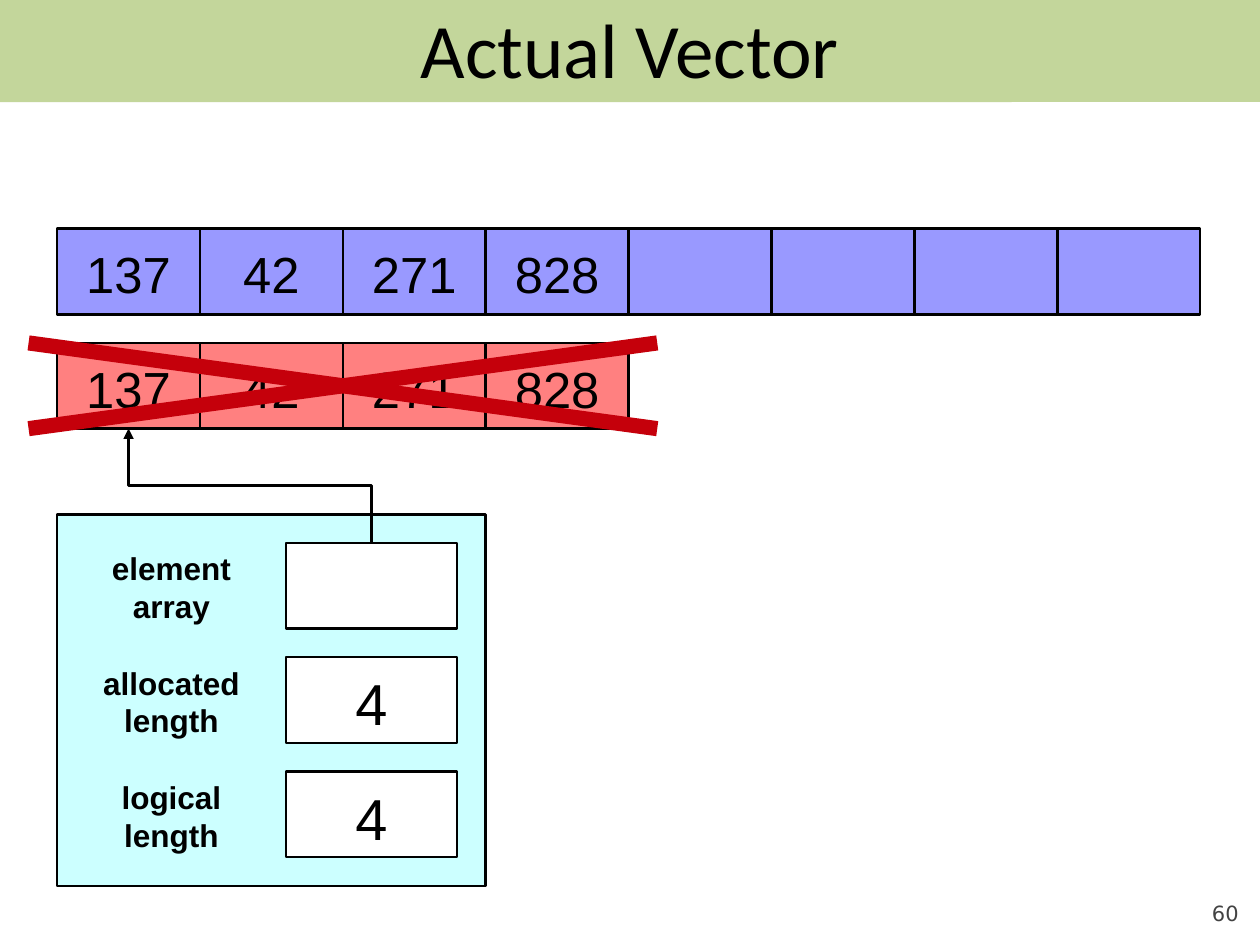
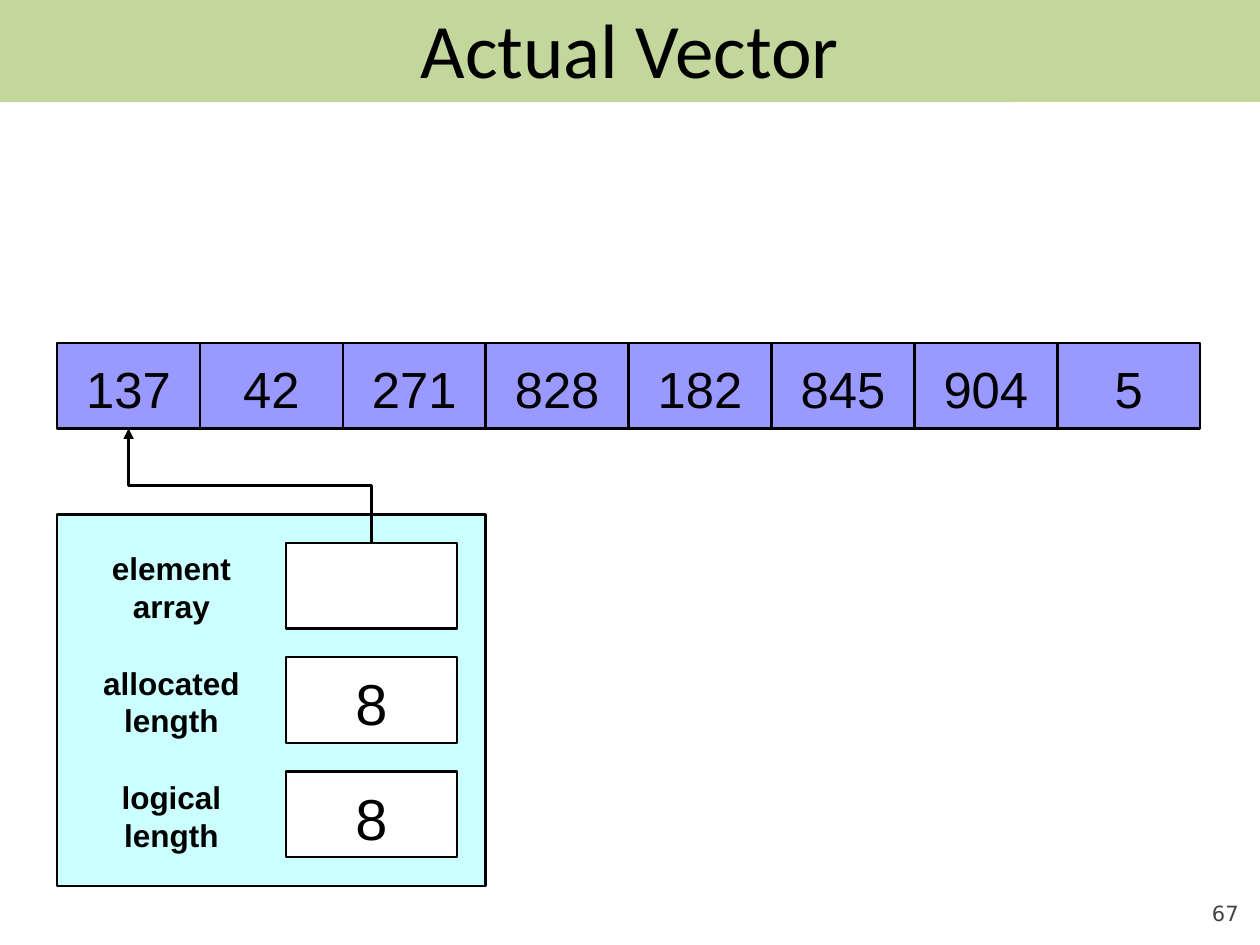
"""Build two slides showing how a vector grows its element array."""

from dataclasses import dataclass

from lxml import etree
from pptx import Presentation
from pptx.dml.color import RGBColor
from pptx.enum.shapes import MSO_CONNECTOR, MSO_SHAPE
from pptx.enum.text import MSO_ANCHOR, PP_ALIGN
from pptx.oxml.ns import qn
from pptx.shapes.autoshape import Shape
from pptx.shapes.connector import Connector
from pptx.slide import Slide
from pptx.util import Pt

RECTANGLE = MSO_SHAPE.RECTANGLE
ROUNDED = MSO_SHAPE.ROUNDED_RECTANGLE
STRAIGHT = MSO_CONNECTOR.STRAIGHT
ELBOW = MSO_CONNECTOR.ELBOW
MIDDLE = MSO_ANCHOR.MIDDLE
BOTTOM = MSO_ANCHOR.BOTTOM
CENTER = PP_ALIGN.CENTER
RIGHT = PP_ALIGN.RIGHT

BLACK = "000000"
WHITE = "FFFFFF"
BAND_GREEN = "C3D69B"
PANEL_CYAN = "CCFFFF"
LIVE_BLUE = "9999FF"
FREED_RED = "FF8080"
CROSS_RED = "C5000B"
NUMBER_GRAY = "424242"

UNIT = 16.33
OUTLINE = 1.45
CROSS_WIDTH = 8.65
CELL_WIDTH = 5
BOX_WIDTH = 6
ROW_HEIGHT = 3
ARRAY_LEFT = 2
UPPER_ROW = 8
LOWER_ROW = 12
FIELD_TOP = 19
FIELD_STEP = 4


@dataclass(frozen=True)
class Area:
    """A rectangle in points."""
    left: float
    top: float
    width: float
    height: float


@dataclass(frozen=True)
class TextStyle:
    """How the text of a box looks, with insets in points."""
    size: float
    font: str = "Arial"
    color: str = BLACK
    bold: bool = False
    align: PP_ALIGN = CENTER
    anchor: MSO_ANCHOR = MIDDLE
    wrap: bool = False
    insets: tuple[float, float, float, float] = (7.2, 3.6, 7.2, 3.6)


@dataclass(frozen=True)
class CellArray:
    """A row of array cells; a freed array is crossed out."""
    row: float
    values: tuple[str, ...]
    freed: bool = False


@dataclass(frozen=True)
class VectorState:
    """The content of one slide."""
    number: str
    allocated: str
    logical: str
    arrays: tuple[CellArray, ...]


TITLE_STYLE = TextStyle(44, "Calibri", wrap=True)
NUMBER_STYLE = TextStyle(12, "DejaVu Sans", NUMBER_GRAY, align=RIGHT,
                         anchor=BOTTOM, wrap=True, insets=(0, 0, 0, 0))
CELL_STYLE = TextStyle(29, insets=(7.2, 5.8, 7.2, 3.6))
FIELD_STYLE = TextStyle(33, insets=(7.2, 6.5, 7.2, 3.6))
LABEL_STYLE = TextStyle(18, bold=True, insets=(7.2, 5, 7.2, 3.6))

STATES = (
    VectorState("60", "4", "4", (
        CellArray(LOWER_ROW, ("137", "42", "271", "828"), freed=True),
        CellArray(UPPER_ROW, ("137", "42", "271", "828", "", "", "", "")),
    )),
    VectorState("67", "8", "8", (
        CellArray(LOWER_ROW, ("137", "42", "271", "828", "182", "845", "904", "5")),
    )),
)


def rgb(color: str) -> RGBColor:
    """Turn a hex string into a colour."""
    return RGBColor.from_string(color)


def grid(left: float, top: float, width: float, height: float) -> Area:
    """Turn grid units into an area in points."""
    return Area(left * UNIT, top * UNIT, width * UNIT, height * UNIT)


def write(box: Shape, text: str, style: TextStyle) -> None:
    """Put styled text into a box."""
    frame = box.text_frame
    frame.text = text
    frame.word_wrap = style.wrap
    frame.vertical_anchor = style.anchor
    (frame.margin_left, frame.margin_top,
     frame.margin_right, frame.margin_bottom) = map(Pt, style.insets)
    for para in frame.paragraphs:
        para.alignment = style.align
        for span in para.runs:
            span.font.name = style.font
            span.font.size = Pt(style.size)
            span.font.bold = style.bold
            span.font.color.rgb = rgb(style.color)


def add_text(page: Slide, area: Area, text: str, style: TextStyle) -> None:
    """Add a text box."""
    box = page.shapes.add_textbox(Pt(area.left), Pt(area.top),
                                  Pt(area.width), Pt(area.height))
    write(box, text, style)


def add_box(page: Slide, area: Area, fill: str, text: str = "",
            style: TextStyle = CELL_STYLE) -> None:
    """Add an outlined rectangle, with text if there is any."""
    box = page.shapes.add_shape(RECTANGLE, Pt(area.left), Pt(area.top),
                                Pt(area.width), Pt(area.height))
    box.shadow.inherit = False
    box.fill.solid()
    box.fill.fore_color.rgb = rgb(fill)
    box.line.color.rgb = rgb(BLACK)
    box.line.width = Pt(OUTLINE)
    if text:
        write(box, text, style)


def add_line(page: Slide, kind: MSO_CONNECTOR, start: tuple[float, float],
             end: tuple[float, float], color: str, width: float) -> Connector:
    """Add a connector between two grid points."""
    ends = [Pt(value * UNIT) for value in (*start, *end)]
    line = page.shapes.add_connector(kind, *ends)
    line.line.color.rgb = rgb(color)
    line.line.width = Pt(width)
    etree.SubElement(line.element.spPr, qn("a:effectLst"))
    return line


def add_pointer(page: Slide) -> None:
    """Add the arrow that rises from the pointer field to the first cell."""
    start_x, start_y = 10 + BOX_WIDTH / 2, FIELD_TOP
    end_x, end_y = ARRAY_LEFT + CELL_WIDTH / 2, LOWER_ROW + ROW_HEIGHT
    middle_x, middle_y = (start_x + end_x) / 2, (start_y + end_y) / 2
    half_rise, half_run = (start_y - end_y) / 2, (start_x - end_x) / 2
    arrow = add_line(page, ELBOW, (middle_x - half_rise, middle_y + half_run),
                     (middle_x + half_rise, middle_y - half_run), BLACK, OUTLINE)
    properties = arrow.element.spPr
    properties.find(qn("a:xfrm")).set("rot", str(270 * 60000))
    etree.SubElement(properties.find(qn("a:ln")), qn("a:tailEnd"), type="triangle")


def add_frame(page: Slide, number: str) -> None:
    """Add the title band, the title and the page number."""
    band = page.shapes.add_shape(ROUNDED, 0, 0, Pt(720), Pt(58.3))
    band.adjustments[0] = 0.001
    band.shadow.inherit = False
    band.fill.solid()
    band.fill.fore_color.rgb = rgb(BAND_GREEN)
    band.line.fill.background()
    add_text(page, Area(36, 0, 648, 54), "Actual Vector", TITLE_STYLE)
    add_text(page, Area(648, 500.4, 59.8, 28.8), number, NUMBER_STYLE)


def add_panel(page: Slide, state: VectorState) -> None:
    """Add the vector object with its three fields."""
    add_box(page, grid(2, 18, 15, 13), PANEL_CYAN)
    fields = (("element\narray", ""), ("allocated\nlength", state.allocated),
              ("logical\nlength", state.logical))
    for index, (label, value) in enumerate(fields):
        top = FIELD_TOP + index * FIELD_STEP
        add_text(page, grid(3, top, BOX_WIDTH, ROW_HEIGHT), label, LABEL_STYLE)
        add_box(page, grid(10, top, BOX_WIDTH, ROW_HEIGHT), WHITE, value, FIELD_STYLE)


def add_array(page: Slide, array: CellArray) -> None:
    """Add the cells of an array and cross them out if it is freed."""
    fill = FREED_RED if array.freed else LIVE_BLUE
    for index, value in enumerate(array.values):
        left = ARRAY_LEFT + index * CELL_WIDTH
        add_box(page, grid(left, array.row, CELL_WIDTH, ROW_HEIGHT), fill, value)
    if array.freed:
        left = ARRAY_LEFT - 1
        right = ARRAY_LEFT + len(array.values) * CELL_WIDTH + 1
        top, bottom = array.row, array.row + ROW_HEIGHT
        for start_y, end_y in ((top, bottom), (bottom, top)):
            add_line(page, STRAIGHT, (left, start_y), (right, end_y),
                     CROSS_RED, CROSS_WIDTH)


def main() -> None:
    """Build and save the deck."""
    deck = Presentation()
    deck.slide_width, deck.slide_height = Pt(720), Pt(540)
    for state in STATES:
        page = deck.slides.add_slide(deck.slide_layouts[6])
        add_frame(page, state.number)
        add_panel(page, state)
        add_pointer(page)
        for array in state.arrays:
            add_array(page, array)
    deck.save("out.pptx")


if __name__ == "__main__":
    main()
